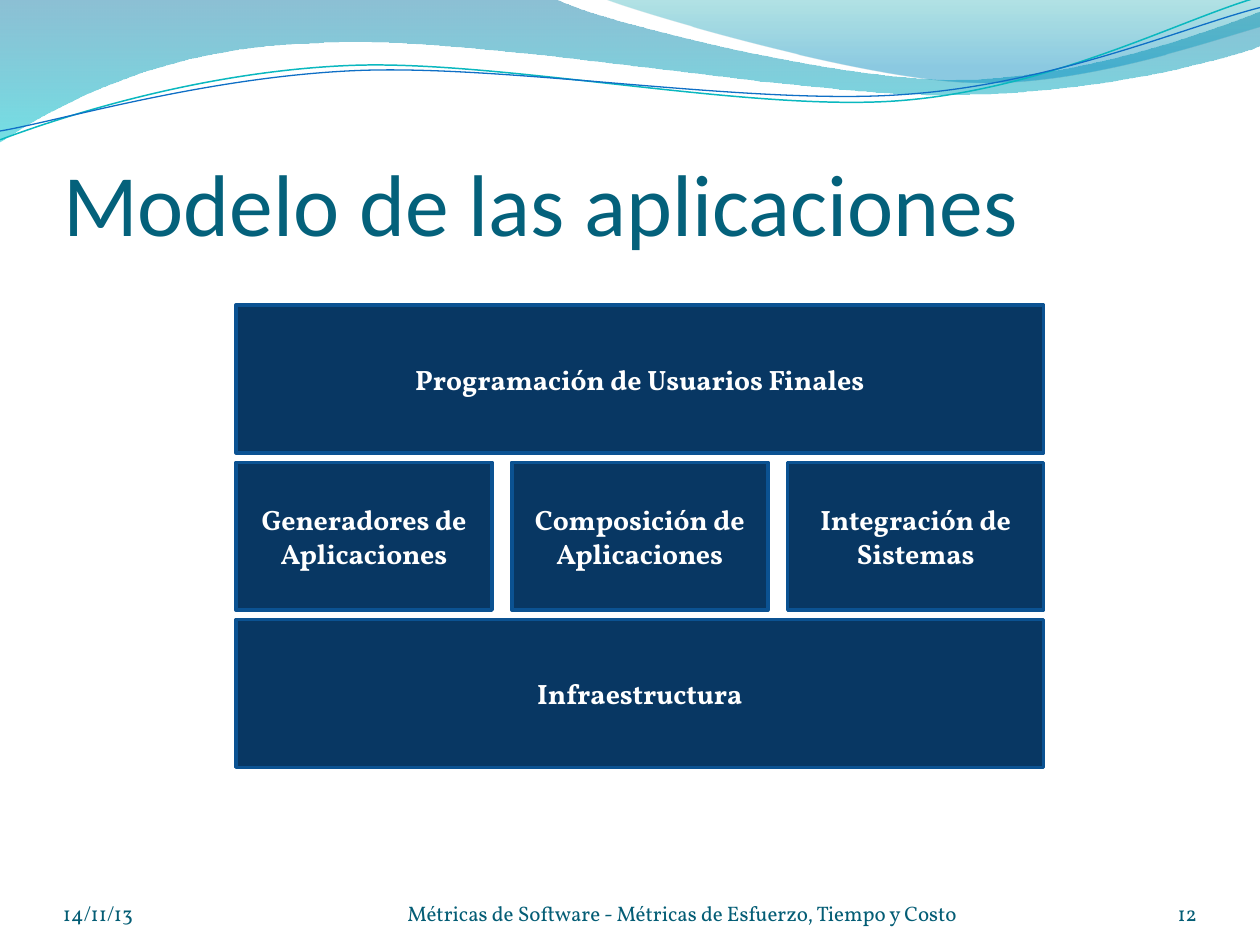
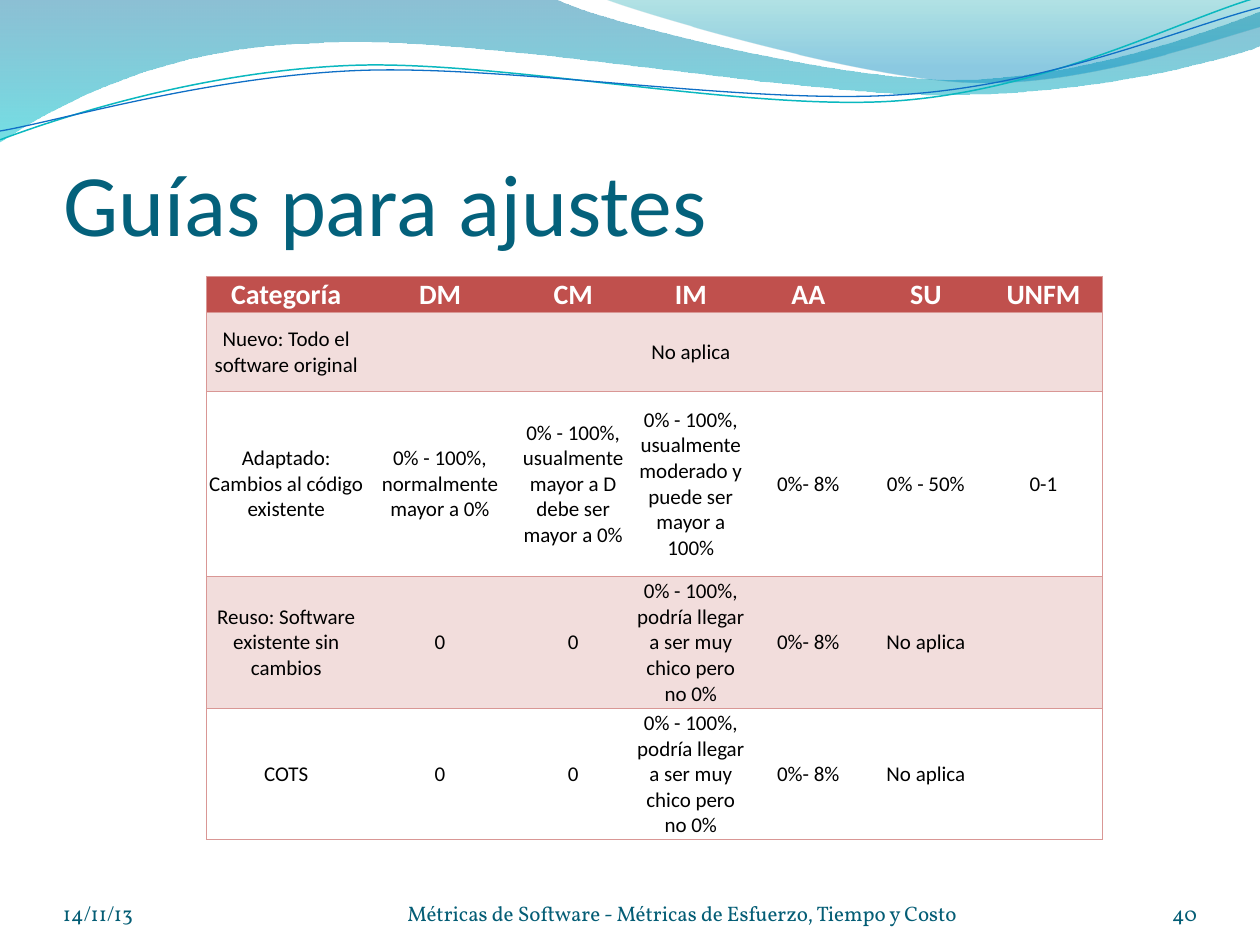
from dataclasses import dataclass
from math import cos, radians, sin
from typing import Optional

from lxml.etree import SubElement
from pptx import Presentation
from pptx.dml.color import RGBColor
from pptx.enum.shapes import MSO_SHAPE as Preset
from pptx.enum.text import MSO_ANCHOR as Anchor, MSO_AUTO_SIZE as AutoSize, PP_ALIGN as Align
from pptx.oxml.ns import qn
from pptx.slide import Slide
from pptx.table import _Cell as Cell
from pptx.text.text import TextFrame
from pptx.util import Cm, Pt

# Colours and fonts
TITLE_TEAL = RGBColor(0x04, 0x61, 0x7B)
FOOTER_TEAL = RGBColor(0x04, 0x5D, 0x75)
BLOCK_NAVY = RGBColor(0x08, 0x37, 0x63)
BLOCK_EDGE = RGBColor(0x0B, 0x52, 0x92)
WAVE_BLUE = RGBColor(0x00, 0x74, 0xA1)
WAVE_CYAN = RGBColor(0x00, 0xC6, 0xCF)
CREST_GREEN = RGBColor(0x00, 0xA1, 0xA9)
CREST_BLUE = RGBColor(0x00, 0x8B, 0xBF)
CURVE_CYAN = RGBColor(0x0A, 0xB8, 0xBF)
CURVE_BLUE = RGBColor(0x0F, 0x6F, 0xC6)
HEADER_RED = RGBColor(0xC0, 0x50, 0x4D)
BAND_PINK = RGBColor(0xF2, 0xDD, 0xDC)
RULE_PINK = RGBColor(0xD9, 0x97, 0x95)
WHITE = RGBColor(0xFF, 0xFF, 0xFF)
BLACK = RGBColor(0x00, 0x00, 0x00)
SANS = "Calibri"
SERIF = "Vollkorn"

GRID = Cm(2.54)  # the wave points count tenths of the page width
CURVE_TILT = -2.7
CURVE_CENTER = (4.99, 0.58)


@dataclass(frozen=True)
class TextStyle:
    font: str
    size: float
    color: RGBColor
    bold: bool = False
    align: Align = Align.CENTER


@dataclass(frozen=True)
class Stop:
    position: float
    color: RGBColor
    opacity: int


@dataclass(frozen=True)
class Wave:
    """A path of points (2 numbers) and cubic curves (6 numbers)."""
    start: tuple
    steps: list
    stops: tuple = ()
    line: Optional[RGBColor] = None
    width: float = 0


@dataclass(frozen=True)
class Block:
    text: str
    row: int
    column: int = 0
    wide: bool = False


@dataclass(frozen=True)
class FooterPart:
    left: float
    width: float
    align: Align


TITLE_STYLE = TextStyle(SANS, 50, TITLE_TEAL, align=Align.LEFT)
BLOCK_STYLE = TextStyle(SERIF, 16, WHITE, bold=True)
HEADER_STYLE = TextStyle(SANS, 16, WHITE, bold=True)
CELL_STYLE = TextStyle(SANS, 12, BLACK)

WAVES = [
    Wave((0, 0), [
        (4.4, -0.01), (4.76, 0.17, 6.64, 0.63, 7.58, 0.63),
        (8.53, 0.63, 9.58, 0.26, 10, 0.09), (10.01, 0.36),
        (9.83, 0.44, 8.7, 0.76, 7.46, 0.75), (6.22, 0.75, 3.82, 0.28, 2.57, 0.34),
        (1.29, 0.36, 0.46, 0.83, -0.01, 1.13),
    ], stops=(Stop(0, WAVE_BLUE, 45), Stop(1, WAVE_CYAN, 55))),
    Wave((4.79, -0.01), [
        (5.09, 0.11, 6.82, 0.62, 7.69, 0.65), (8.56, 0.69, 9.61, 0.32, 10, 0.21), (10, 0),
    ], stops=(Stop(0, CREST_GREEN, 30), Stop(0.8, CREST_BLUE, 45))),
    Wave((0, 1.11), [
        (0.48, 0.93, 1.58, 0.57, 2.77, 0.52), (3.95, 0.47, 5.93, 0.89, 7.13, 0.8),
        (8.33, 0.71, 9.38, 0.15, 9.98, -0.02),
    ], line=CURVE_CYAN, width=0.85),
    Wave((0, 1.04), [
        (0.47, 0.96, 1.64, 0.61, 2.83, 0.56), (4.03, 0.51, 5.97, 0.84, 7.17, 0.75),
        (8.36, 0.67, 9.41, 0.21, 10, 0.06),
    ], line=CURVE_BLUE, width=0.75),
]

FOOTER_TEXT = "Métricas de Software - Métricas de Esfuerzo, Tiempo y Costo"
FOOTER_PARTS = [
    FooterPart(1.27, 5.92, Align.LEFT),
    FooterPart(7.41, 12.7, Align.CENTER),
    FooterPart(22.02, 2.11, Align.RIGHT),
]

BLOCKS = [
    Block("Programación de Usuarios Finales", 0, wide=True),
    Block("Infraestructura", 2, wide=True),
    Block("Generadores de Aplicaciones", 1, 0),
    Block("Composición de Aplicaciones", 1, 1),
    Block("Integración de Sistemas", 1, 2),
]

SMALL_REUSE = "0% - 100%, podría llegar a ser muy chico pero no 0%"
GUIDE_ROWS = [
    ["Categoría", "DM", "CM", "IM", "AA", "SU", "UNFM"],
    ["Nuevo: Todo el software original", "", "", "No aplica", "", "", ""],
    ["Adaptado: Cambios al código existente", "0% - 100%, normalmente mayor a 0%",
     "0% - 100%, usualmente mayor a D debe ser mayor a 0%",
     "0% - 100%, usualmente moderado y puede ser mayor a 100%",
     "0%- 8%", "0% - 50%", "0-1"],
    ["Reuso: Software existente sin cambios", "0", "0", SMALL_REUSE, "0%- 8%", "No aplica", ""],
    ["COTS", "0", "0", SMALL_REUSE, "0%- 8%", "No aplica", ""],
]
COLUMN_WIDTHS = [3.2, 3.0] + [2.37] * 5
ROW_HEIGHTS = [0.71, 1.59, 3.73, 2.66, 2.66]


# Text
def write(frame: TextFrame, text: str, style: TextStyle) -> None:
    para = frame.paragraphs[0]
    para.alignment = style.align
    span = para.add_run()
    span.text = text
    span.font.name = style.font
    span.font.size = Pt(style.size)
    span.font.bold = style.bold
    span.font.color.rgb = style.color


def set_frame(frame: TextFrame, anchor: Anchor, top: float = 0) -> None:
    frame.word_wrap = True
    frame.auto_size = AutoSize.NONE
    frame.vertical_anchor = anchor
    frame.margin_left = frame.margin_right = frame.margin_bottom = 0
    frame.margin_top = Cm(top)


# Waves across the top
def place(x: float, y: float, tilt: float) -> tuple:
    """Page position of a wave point before its shape is turned by the tilt."""
    center_x, center_y = CURVE_CENTER
    across, down, angle = x - center_x, y - center_y, radians(-tilt)
    return (round((center_x + across * cos(angle) - down * sin(angle)) * GRID),
            round((center_y + across * sin(angle) + down * cos(angle)) * GRID))


def draw_wave(page: Slide, wave: Wave) -> None:
    tilt = CURVE_TILT if wave.line is not None else 0
    steps = [[place(x, y, tilt) for x, y in zip(step[::2], step[1::2])] for step in wave.steps]
    builder = page.shapes.build_freeform(*place(*wave.start, tilt))
    builder.add_line_segments([step[-1] for step in steps], close=bool(wave.stops))
    shape = builder.convert_to_shape()
    shape.shadow.inherit = False

    # Bend the segments that have control points
    segments = list(shape.element.iter(qn("a:lnTo")))
    for segment, step in zip(segments, steps):
        if len(step) == 3:
            curve = SubElement(segment.getparent(), qn("a:cubicBezTo"))
            for x, y in step:
                SubElement(curve, qn("a:pt"), x=str(x - shape.left), y=str(y - shape.top))
            segment.getparent().replace(segment, curve)
    shape.rotation = tilt

    if wave.line is not None:
        shape.fill.background()
        shape.line.color.rgb = wave.line
        shape.line.width = Pt(wave.width)
        return
    shape.line.fill.background()
    shape.fill.gradient()
    shape.fill.gradient_angle = 270
    for target, stop in zip(shape.fill.gradient_stops, wave.stops):
        target.color.rgb = stop.color
        target.position = stop.position
    for color, stop in zip(shape.element.iter(qn("a:srgbClr")), wave.stops):
        SubElement(color, qn("a:alpha"), val=str(stop.opacity * 1000))


# Page with waves, title and footer
def add_page(deck, title_text: str, number: int) -> Slide:
    page = deck.slides.add_slide(deck.slide_layouts[5])
    for wave in WAVES:
        draw_wave(page, wave)
    title = page.shapes.title
    title.left, title.top, title.width, title.height = Cm(1.27), Cm(1.95), Cm(22.86), Cm(3.17)
    set_frame(title.text_frame, Anchor.BOTTOM, top=0.13)
    write(title.text_frame, title_text, TITLE_STYLE)
    title.element.getparent().append(title.element)  # in front of the waves
    for part, text in zip(FOOTER_PARTS, ("14/11/13", FOOTER_TEXT, str(number))):
        box = page.shapes.add_textbox(Cm(part.left), Cm(17.65), Cm(part.width), Cm(1.02))
        set_frame(box.text_frame, Anchor.BOTTOM)
        write(box.text_frame, text, TextStyle(SERIF, 12, FOOTER_TEAL, align=part.align))
    return page


# Application model
def draw_block(page: Slide, block: Block) -> None:
    full, narrow, height = 16.28, 5.16, 2.98
    column_pitch, row_pitch = (full - narrow) / 2, 3.17
    shape = page.shapes.add_shape(
        Preset.RECTANGLE,
        Cm(4.76 + block.column * column_pitch), Cm(6.15 + block.row * row_pitch),
        Cm(full if block.wide else narrow), Cm(height))
    shape.shadow.inherit = False
    shape.fill.solid()
    shape.fill.fore_color.rgb = BLOCK_NAVY
    shape.line.color.rgb = BLOCK_EDGE
    shape.line.width = Pt(2)
    shape.text_frame.word_wrap = True
    shape.text_frame.vertical_anchor = Anchor.MIDDLE
    write(shape.text_frame, block.text, BLOCK_STYLE)


# Adjustment guide
def set_borders(cell: Cell, ruled_sides: str) -> None:
    properties = cell._tc.get_or_add_tcPr()
    for side in "LRTB":
        edge = SubElement(properties, qn(f"a:ln{side}"), w=str(Pt(0.5)))
        if side in ruled_sides:
            fill = SubElement(edge, qn("a:solidFill"))
            SubElement(fill, qn("a:srgbClr"), val=str(RULE_PINK))
        else:
            SubElement(edge, qn("a:noFill"))


def draw_guide(page: Slide) -> None:
    last = len(COLUMN_WIDTHS) - 1
    table = page.shapes.add_table(
        len(ROW_HEIGHTS), len(COLUMN_WIDTHS), Cm(4.17), Cm(5.57),
        Cm(sum(COLUMN_WIDTHS)), Cm(sum(ROW_HEIGHTS))).table
    table.first_row = table.horz_banding = False
    for column, width in zip(table.columns, COLUMN_WIDTHS):
        column.width = Cm(width)
    for r, (texts, height) in enumerate(zip(GUIDE_ROWS, ROW_HEIGHTS)):
        table.rows[r].height = Cm(height)
        row_fill = HEADER_RED if r == 0 else BAND_PINK if r % 2 else WHITE
        for c, text in enumerate(texts):
            cell = table.cell(r, c)
            set_borders(cell, "TB" + ("L" if c == 0 else "R" if c == last else ""))
            cell.fill.solid()
            cell.fill.fore_color.rgb = row_fill
            cell.margin_left = cell.margin_right = cell.margin_top = Cm(0.03)
            cell.margin_bottom = 0
            cell.vertical_anchor = Anchor.MIDDLE if r else Anchor.BOTTOM
            if text:
                write(cell.text_frame, text, CELL_STYLE if r else HEADER_STYLE)


def main() -> None:
    deck = Presentation()
    deck.slide_width, deck.slide_height = Cm(25.4), Cm(19.05)
    model_page = add_page(deck, "Modelo de las aplicaciones", 12)
    for block in BLOCKS:
        draw_block(model_page, block)
    draw_guide(add_page(deck, "Guías para ajustes", 40))
    deck.save("out.pptx")


if __name__ == "__main__":
    main()
